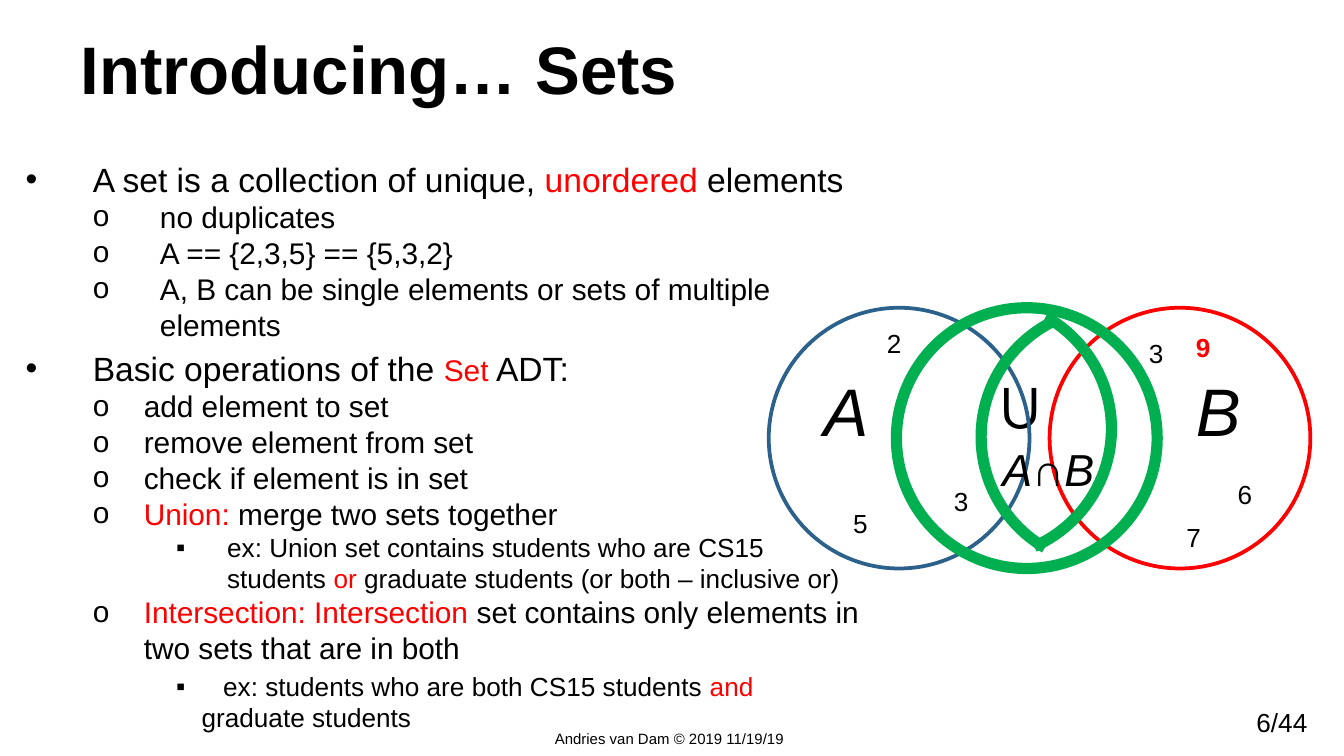
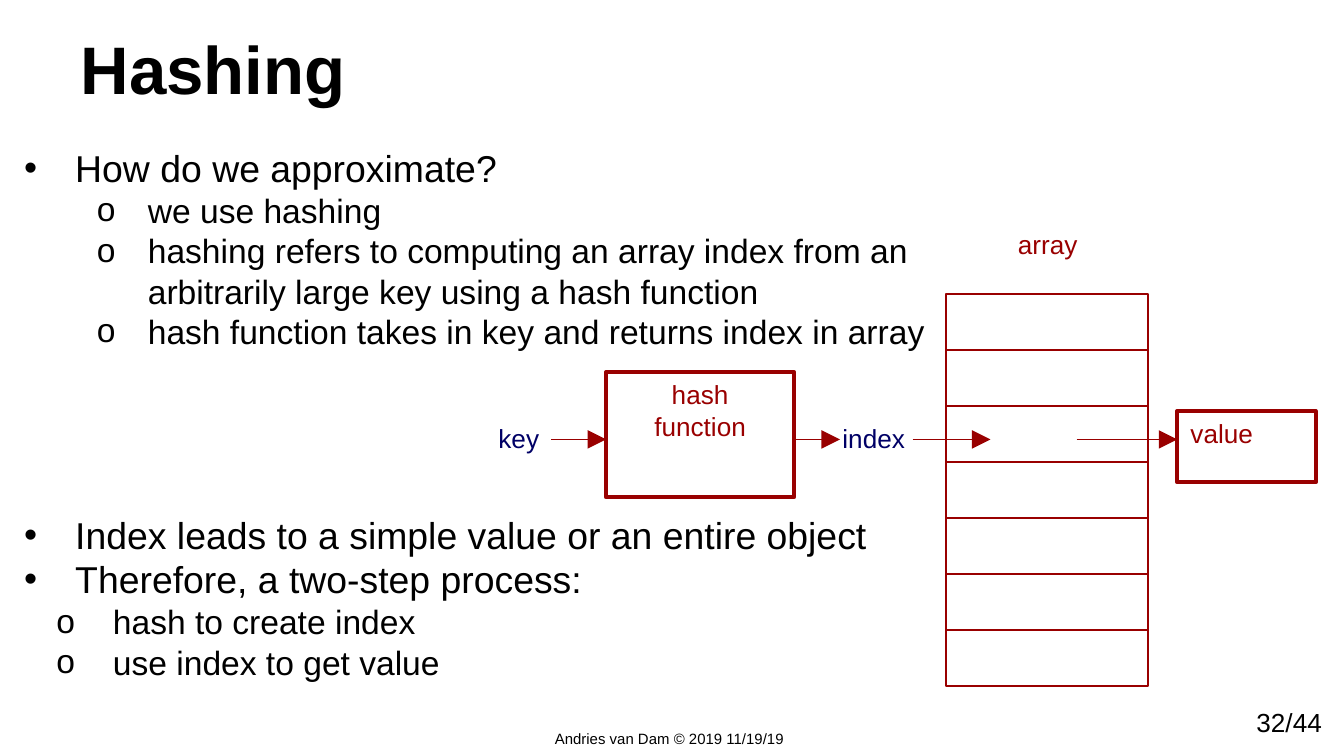
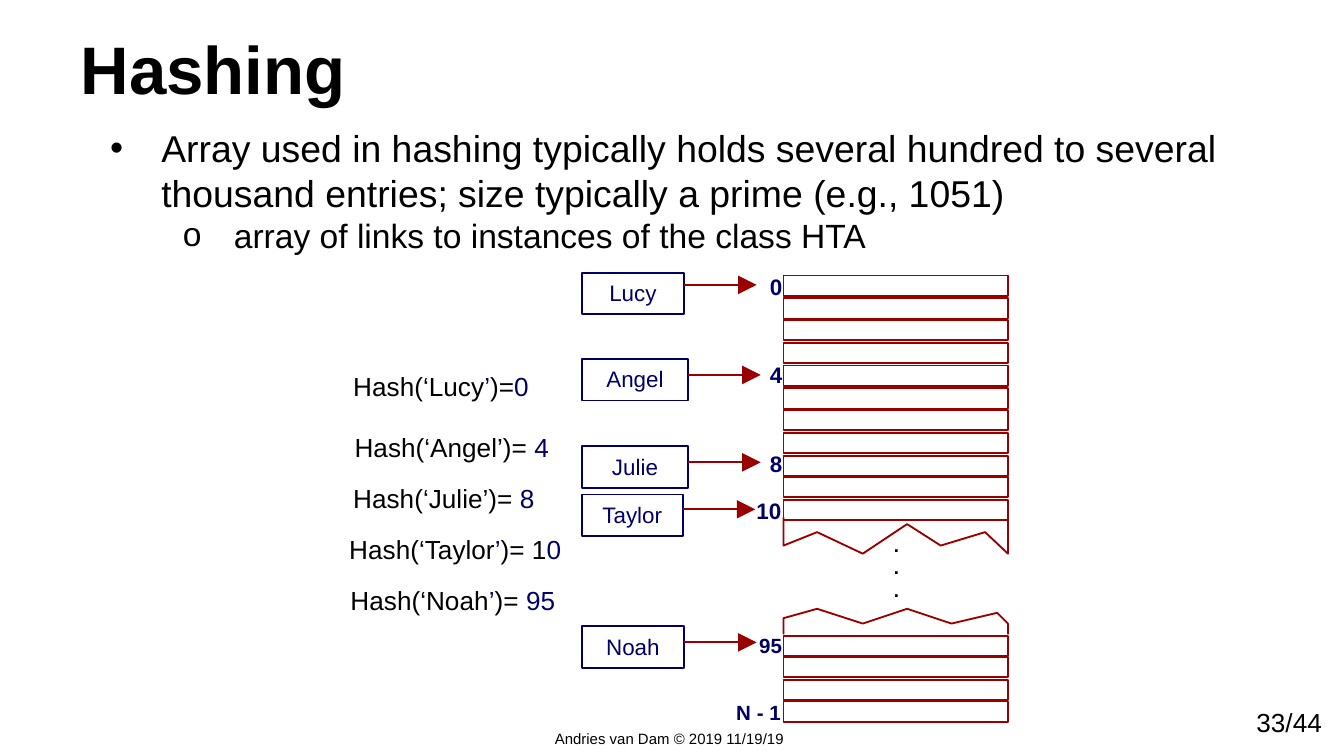
from lxml import etree
from pptx import Presentation
from pptx.dml.color import RGBColor
from pptx.enum.shapes import MSO_CONNECTOR, MSO_SHAPE
from pptx.enum.text import MSO_ANCHOR, MSO_AUTO_SIZE, PP_ALIGN
from pptx.oxml.ns import qn
from pptx.util import Emu, Pt

PX = 9144  # 100 px to the inch
FONT = "Arial"
COLORS = {"black": "000000", "red": "FF0000", "green": "00B050",
          "blue": "2B618B", "maroon": "990000", "navy": "000066"}
LEFT, CENTER = PP_ALIGN.LEFT, PP_ALIGN.CENTER
RECT, OVAL, ARC = MSO_SHAPE.RECTANGLE, MSO_SHAPE.OVAL, MSO_SHAPE.ARC
STRAIGHT = MSO_CONNECTOR.STRAIGHT
TOP, BOTTOM = MSO_ANCHOR.TOP, MSO_ANCHOR.BOTTOM
FIXED, GROW = MSO_AUTO_SIZE.NONE, MSO_AUTO_SIZE.SHAPE_TO_FIT_TEXT
PAGES = 44


def px(*values):
    return [Emu(round(v * PX)) for v in values]


def rgb(name):
    return RGBColor.from_string(COLORS[name])


# ---- Text helpers ----
def write(p, text, size, color="black", accent="red", bold=False, italic=False):
    """Fill a paragraph; every second piece between bars takes the accent."""
    for i, piece in enumerate(text.split("|")):
        if piece:
            r = p.add_run()
            r.text = piece
            r.font.name, r.font.size = FONT, Pt(size)
            r.font.bold, r.font.italic = bold, italic
            r.font.color.rgb = rgb(accent if i % 2 else color)


def label(slide, x, y, w, h, text, size=14, wrap=False, align=LEFT, **style):
    sp = slide.shapes.add_textbox(*px(x, y, w, h))
    tf = sp.text_frame
    tf.word_wrap, tf.auto_size = wrap, GROW
    for i, line in enumerate(text.split("\n")):
        p = tf.add_paragraph() if i else tf.paragraphs[0]
        p.alignment = align
        write(p, line, size, **style)
    return sp


def add_bullet(p, char, margin, indent, tab):
    pPr = p._p.get_or_add_pPr()
    pPr.set("marL", str(margin * PX))
    pPr.set("indent", str(indent * PX))
    clr = etree.SubElement(pPr, qn("a:buClr"))
    etree.SubElement(clr, qn("a:srgbClr"), val=COLORS["black"])
    etree.SubElement(pPr, qn("a:buFont"), typeface=FONT)
    etree.SubElement(pPr, qn("a:buChar"), char=char)
    if tab:
        tabs = etree.SubElement(pPr, qn("a:tabLst"))
        etree.SubElement(tabs, qn("a:tab"), pos=str(tab * PX), algn="l")


# ---- Shape helpers ----
def outline(sp, color, width):
    sp.shadow.inherit = False
    sp.fill.background()
    sp.line.color.rgb = rgb(color)
    sp.line.width = Pt(width)
    return sp


def shape(slide, kind, x, y, w, h, color, width):
    return outline(slide.shapes.add_shape(kind, *px(x, y, w, h)), color, width)


def box(slide, x, y, w, h, text, size, color, width, align=CENTER):
    tf = shape(slide, RECT, x, y, w, h, color, width).text_frame
    tf.vertical_anchor, tf.word_wrap = TOP, True
    for i, line in enumerate(text.split("\n")):
        p = tf.add_paragraph() if i else tf.paragraphs[0]
        p.alignment = align
        write(p, line, size, color)


def arrow(slide, x1, x2, y):
    cxn = slide.shapes.add_connector(STRAIGHT, *px(x1, y, x2, y))
    cxn.line.color.rgb = rgb("maroon")
    cxn.line.width = Pt(1)
    etree.SubElement(cxn.line._get_or_add_ln(), qn("a:tailEnd"),
                     type="triangle", w="lg", len="lg")
    etree.SubElement(cxn._element.spPr, qn("a:effectLst"))


def outline_path(slide, x, y, points):
    points = [(x + dx, y + dy) for dx, dy in points]
    builder = slide.shapes.build_freeform(*points[0], scale=PX)
    builder.add_line_segments(points[1:], close=False)
    outline(builder.convert_to_shape(), "maroon", 1)


# ---- Shared slide frame ----
def place(sp, x, y, w, h, anchor):
    sp.left, sp.top, sp.width, sp.height = px(x, y, w, h)
    tf = sp.text_frame
    tf.margin_left = tf.margin_right = tf.margin_top = tf.margin_bottom = px(10)[0]
    tf.vertical_anchor, tf.auto_size, tf.word_wrap = anchor, FIXED, True
    return tf


def add_slide(prs, title, page, body_box, items):
    """Items are (style, text) or (style, text, space before, tab)."""
    slide = prs.slides.add_slide(prs.slide_layouts[1])
    label(slide, 925, 521, 92, 34, f"{page}/{PAGES}", wrap=True)
    label(slide, 403, 538, 194, 47, "Andries van Dam © 2019 11/19/19", 8)

    p = place(slide.shapes.title, 50, -4, 900, 94, BOTTOM).paragraphs[0]
    p.alignment = LEFT
    write(p, title, 36, bold=True)

    tf = place(slide.placeholders[1], *body_box, TOP)
    for i, (style, text, *extra) in enumerate(items):
        level, char, margin, indent, size = style
        before, tab = extra or (0, 0)
        p = tf.add_paragraph() if i else tf.paragraphs[0]
        p.level = level
        p.space_before, p.space_after = Pt(before), Pt(0)
        add_bullet(p, char, margin, indent, tab)
        write(p, text, size)
    return slide


# ---- Sets ----
def venn(slide, x, y):
    d = 194
    label(slide, x + 160, y + 36, 63, 71, "∪", 36, wrap=True)
    shape(slide, OVAL, x, y, d, d, "blue", 2)
    label(slide, x + 31, y + 41, 67, 71, "A", 36, wrap=True, italic=True)
    shape(slide, OVAL, x + 209, y, d, d, "red", 2)
    label(slide, x + 308, y + 41, 67, 71, "B", 36, wrap=True, italic=True)
    tf = label(slide, x + 164, y + 95, 100, 50, "A|∩|B", 24, wrap=True,
               accent="black", italic=True).text_frame
    tf.paragraphs[0].runs[1].font.italic = False

    members = [("5", 53, 144), ("6", 339, 122), ("2", 78, 10),
               ("3", 128, 127), ("7", 301, 154), ("3", 273, 17)]
    for text, dx, dy in members:
        label(slide, x + dx, y + dy, 33, 34, text, wrap=True)

    # Lens: two facing arcs
    for dx, dy, turn, start, end in [(61, -6, 0, 180, 39.4), (158, 0, 180, 180.6, 38.7)]:
        sp = shape(slide, ARC, x + dx, y + dy, d, 192, "green", 6)
        sp.adjustments[0], sp.adjustments[1] = start, end
        sp.rotation = turn
    shape(slide, OVAL, x + 95, y, d, d, "green", 6)
    label(slide, x + 308, y + 13, 31, 34, "9", color="red", bold=True)


def sets_slide(prs):
    top = (0, "•", 50, -50, 18)
    fact = (0, "o", 100, -50, 16)
    op = (0, "o", 88, -38, 16)
    slide = add_slide(prs, "Introducing… Sets", 6, (9, 108, 641, 506), [
        (top, "A set is a collection of unique, |unordered| elements"),
        (fact, "no duplicates"),
        (fact, "A == {2,3,5} == {5,3,2}"),
        (fact, "A, B can be single elements or sets of multiple elements"),
        (top, "Basic operations of the |Set| ADT:", 3, 0),
        (op, "add element to set"),
        (op, "remove element from set"),
        (op, "check if element is in set"),
        (op, "|Union: |merge two sets together"),
        ((2, "▪", 150, -38, 14), "ex: Union set contains students who are CS15 "
         "students |or| graduate students (or both – inclusive or)"),
        (op, "|Intersection: Intersection |set contains only elements in "
         "two sets that are in both"),
        ((2, "▪", 131, -19, 14), "\tex: students who are both CS15 students "
         "|and| graduate students", 2.5, 147),
    ])
    body = slide.placeholders[1].text_frame
    body.paragraphs[4].runs[1].font.size = Pt(16)
    venn(slide, 572, 229)


# ---- Hashing: from key to value ----
def hash_pipeline(slide, x, y):
    rows, pitch, array_x = 7, 125 / 3, x + 343
    for i in range(rows):
        shape(slide, RECT, array_x, y + 54 + i * pitch, 150, pitch, "maroon", 1)
    label(slide, x + 386, y, 65, 34, "array", align=CENTER, color="maroon")
    box(slide, x + 90, y + 112, 140, 93, "hash\nfunction", 14, "maroon", 2.25)
    label(slide, x + 256, y + 144, 100, 50, "index", color="navy")
    label(slide, x, y + 144, 72, 50, "key", color="navy")
    box(slide, x + 515, y + 141, 103, 53, "value", 14, "maroon", 2.25, LEFT)
    for start, end in [(49, 90), (231, 264), (318, 376), (440, 515)]:
        arrow(slide, x + start, x + end, y + 162)


def hashing_slide(prs):
    top = (0, "•", 46, -38, 20)
    sub = (1, "o", 100, -38, 18)
    step = (1, "o", 74, -42, 18)
    slide = add_slide(prs, "Hashing", 32, (0, 98, 711, 407), [
        (top, "How do we approximate?"),
        (sub, "we use hashing"),
        (sub, "hashing refers to computing an array index from an "
         "arbitrarily large key using a hash function"),
        (sub, "hash function takes in key and returns index in array"),
        (top, "Index leads to a simple value or an entire object", 86, 0),
        (top, "Therefore, a two-step process:"),
        (step, "hash to create index"),
        (step, "use index to get value"),
    ])
    hash_pipeline(slide, 361, 165)


# ---- Hashing: array of entries ----
def hash_calls(slide, x, y):
    calls = [("Hash(‘Lucy|’|)=|0", 3, 0, 151), ("Hash(‘Angel’)= |4", 4, 45, 166),
             ("Hash(‘Julie’)= |8", 3, 83, 156), ("Hash(‘Taylor|’|)= 1|0", 0, 121, 181),
             ("Hash(‘Noah|’|)= |95", 1, 159, 173)]
    for text, dx, dy, w in calls:
        label(slide, x + dx, y + dy, w, 34, text, accent="navy")


def broken_array(slide, x, y):
    w, h = 167, 15
    for first, count, pitch in [(0, 11, 16.7), (268, 4, 16.4)]:
        for i in range(count):
            shape(slide, RECT, x, y + first + round(i * pitch), w, h, "maroon", 1)
    # Torn edges around the gap
    outline_path(slide, x, y + 174, [(0, 6), (0, 27), (25, 17), (59, 33), (92, 11),
                                     (117, 27), (150, 17), (w, 33), (w, 0)])
    outline_path(slide, x, y + 248, [(0, 19), (0, 7), (25, 0), (59, 11), (92, 0),
                                     (125, 11), (159, 3), (w, 11), (w, 19)])
    label(slide, x + 76, y + 187, 16, 61, ".\n.\n.", 10, wrap=True, bold=True)


def entries(slide, x, y):
    # name, box top, box width, arrow y, index, index top, index width, index size
    rows = [("Lucy", 5, 76, 14, "0", 0, 29, 12),
            ("Angel", 69, 79, 81, "4", 66, 29, 12),
            ("Julie", 134, 79, 146, "8", 132, 29, 12),
            ("Taylor", 170, 75, 181, "10", 167, 39, 12),
            ("Noah", 268, 76, 280, "95", 268, 37, 11)]
    right = x + 159
    for name, top, w, arrow_y, index, index_top, index_w, size in rows:
        box(slide, x, y + top, w, 31, name, 12, "navy", 1)
        arrow(slide, x + w, x + w + 54, y + arrow_y)
        label(slide, right - index_w, y + index_top, index_w, 30, index, size,
              color="navy", bold=True)
    label(slide, right - 54, y + 318, 54, 29, "N - 1", 11, color="navy", bold=True)


def entries_slide(prs):
    slide = add_slide(prs, "Hashing", 33, (64, 83, 950, 131), [
        ((0, "•", 46, -38, 20), "Array used in hashing typically holds several hundred "
         "to several thousand entries; size typically a prime (e.g., 1051)"),
        ((1, "o", 100, -38, 18), "array of links to instances of the class HTA"),
    ])
    hash_calls(slide, 250, 271)
    broken_array(slide, 583, 205)
    entries(slide, 433, 198)


def main():
    prs = Presentation()
    prs.slide_width, prs.slide_height = px(1000, 562.5)
    sets_slide(prs)
    hashing_slide(prs)
    entries_slide(prs)
    prs.save("out.pptx")


if __name__ == "__main__":
    main()
